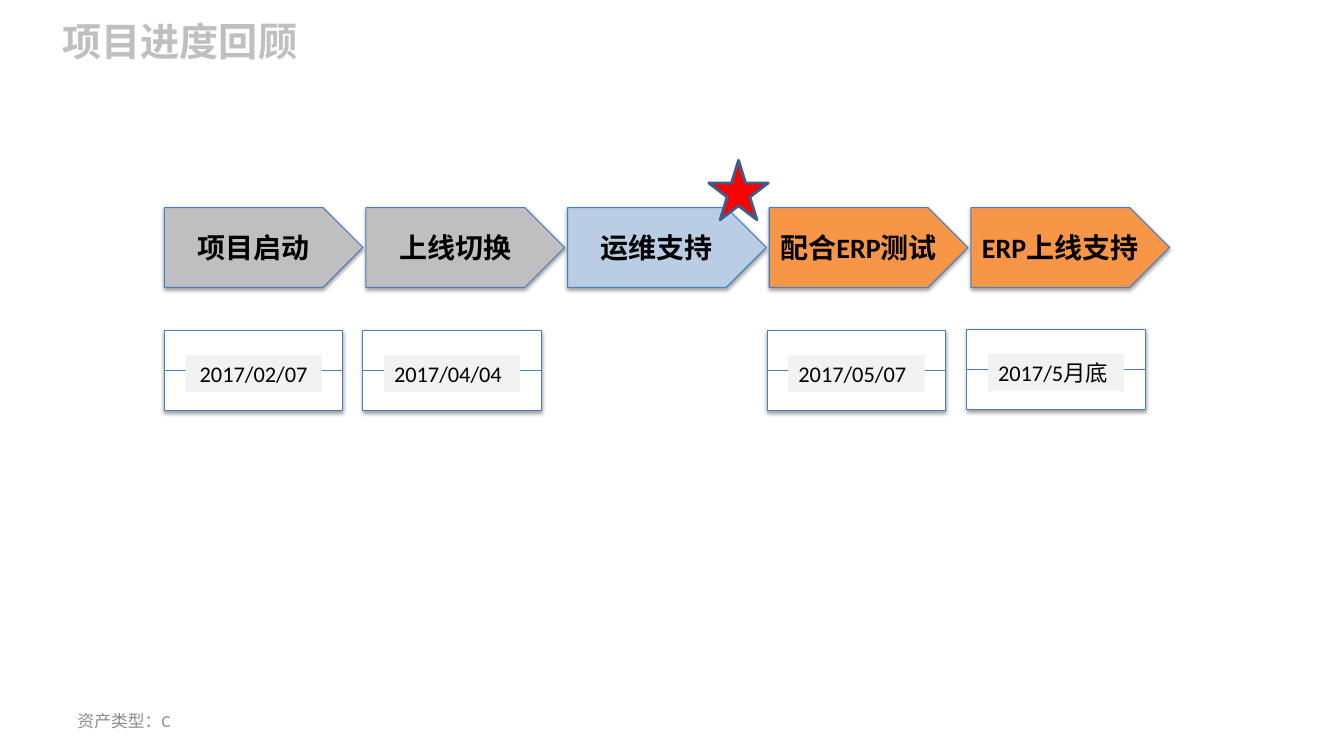
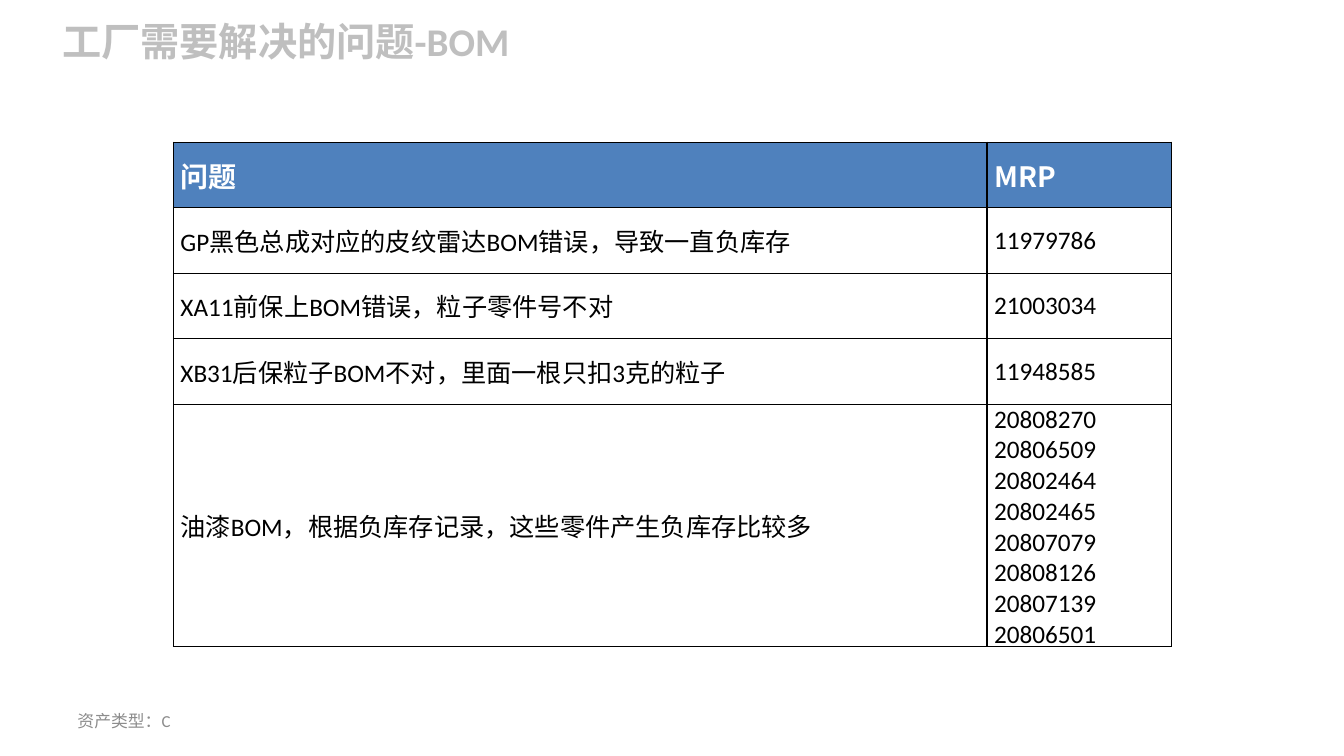
from dataclasses import dataclass

from lxml.etree import SubElement
from pptx import Presentation
from pptx.dml.color import RGBColor
from pptx.enum.shapes import MSO_CONNECTOR, MSO_SHAPE
from pptx.enum.text import MSO_ANCHOR, PP_ALIGN
from pptx.oxml.ns import qn
from pptx.util import Inches, Pt


@dataclass(frozen=True)
class Theme:
    # Colours
    black: str = "000000"
    white: str = "FFFFFF"
    title: str = "BFBFBF"
    footer: str = "8C8C8C"
    done: str = "BFBFBF"
    current: str = "B9CDE5"
    planned: str = "F79646"
    outline: str = "4B7EBC"
    label: str = "F2F2F2"
    star: str = "FF0000"
    star_outline: str = "3A5F8C"
    header: str = "4F81BD"
    # Fonts and type sizes in points
    font: str = "Calibri"
    asian_font: str = "Noto Sans CJK SC"
    title_size: int = 28
    heading_size: int = 20
    body_size: int = 18
    date_size: int = 16
    footer_size: int = 12


THEME = Theme()


class Deck:
    def __init__(self, theme):
        self.theme = theme
        self.presentation = Presentation()
        self.presentation.slide_width = Inches(13.33)
        self.presentation.slide_height = Inches(7.5)
        self.slide = None

    def new_slide(self, title):
        """Start a slide with the shared title and footer."""
        theme = self.theme
        layout = self.presentation.slide_layouts[6]
        self.slide = self.presentation.slides.add_slide(layout)
        self.text_box(0.52, 0.12, 9.98, 0.57, title, theme.title_size,
                      theme.title, bold=True)
        self.text_box(0.67, 6.95, 3.11, 0.4, "资产类型：C", theme.footer_size,
                      theme.footer, anchor=MSO_ANCHOR.MIDDLE)

    def add_lines(self, frame, lines, size, color, bold=False,
                  align=PP_ALIGN.LEFT, font=None):
        """Fill a text frame with one paragraph per line."""
        for index, line in enumerate(lines):
            paragraph = frame.add_paragraph() if index else frame.paragraphs[0]
            paragraph.alignment = align
            run = paragraph.add_run()
            run.text = line
            run.font.name = font or self.theme.font
            run.font.size = Pt(size)
            run.font.bold = bold
            run.font.color.rgb = RGBColor.from_string(color)
            east_asian = SubElement(run.font._element, qn("a:ea"))
            east_asian.set("typeface", self.theme.asian_font)

    def text_box(self, left, top, width, height, text, size, color,
                 bold=False, anchor=MSO_ANCHOR.TOP):
        box = self.slide.shapes.add_textbox(
            Inches(left), Inches(top), Inches(width), Inches(height))
        box.text_frame.word_wrap = True
        box.text_frame.vertical_anchor = anchor
        self.add_lines(box.text_frame, [text], size, color, bold)

    def shape(self, kind, left, top, width, height, fill, line=None,
              line_width=0.75, shadow=False, parent=None):
        shape = (parent or self.slide).shapes.add_shape(
            kind, Inches(left), Inches(top), Inches(width), Inches(height))
        shape.fill.solid()
        shape.fill.fore_color.rgb = RGBColor.from_string(fill)
        if line:
            shape.line.color.rgb = RGBColor.from_string(line)
            shape.line.width = Pt(line_width)
        else:
            shape.line.fill.background()
        shape.shadow.inherit = False
        if shadow:
            self.drop_shadow(shape)
        return shape

    def drop_shadow(self, shape):
        effects = shape._element.spPr.find(qn("a:effectLst"))
        outer = SubElement(effects, qn("a:outerShdw"), blurRad=str(Pt(3.1)),
                           dist=str(Pt(1.6)), dir="5400000", rotWithShape="0")
        color = SubElement(outer, qn("a:srgbClr"), val=self.theme.black)
        SubElement(color, qn("a:alpha"), val="38000")

    def stage(self, left, top, text, fill):
        """Pentagon arrow for one project stage."""
        theme = self.theme
        arrow = self.shape(MSO_SHAPE.PENTAGON, left, top, 1.97, 0.79, fill,
                           theme.outline, shadow=True)
        arrow.text_frame.word_wrap = True
        arrow.text_frame.vertical_anchor = MSO_ANCHOR.MIDDLE
        self.add_lines(arrow.text_frame, [text], theme.heading_size,
                       theme.black, bold=True, align=PP_ALIGN.CENTER)

    def date_card(self, left, top, text, align):
        """Framed card with a middle line and a date label on it."""
        theme = self.theme
        width, height = 1.77, 0.79
        group = self.slide.shapes.add_group_shape()
        self.shape(MSO_SHAPE.RECTANGLE, left, top, width, height, theme.white,
                   theme.outline, shadow=True, parent=group)
        middle = Inches(top + height / 2)
        line = group.shapes.add_connector(
            MSO_CONNECTOR.STRAIGHT, Inches(left), middle,
            Inches(left + width), middle)
        line.line.color.rgb = RGBColor.from_string(theme.outline)
        line.line.width = Pt(0.75)
        SubElement(line._element.spPr, qn("a:effectLst"))
        label = self.shape(MSO_SHAPE.RECTANGLE, left + 0.21, top + 0.24,
                           1.35, 0.37, theme.label, parent=group)
        label.text_frame.word_wrap = True
        label.text_frame.vertical_anchor = MSO_ANCHOR.TOP
        self.add_lines(label.text_frame, [text], theme.date_size, theme.black,
                       align=align)

    def table(self, left, top, widths, heights, rows):
        """Bordered table; each cell is a list of lines."""
        theme = self.theme
        table = self.slide.shapes.add_table(
            len(rows), len(widths), Inches(left), Inches(top),
            Inches(sum(widths)), Inches(sum(heights))).table
        table.horz_banding = False
        for column, width in zip(table.columns, widths):
            column.width = Inches(width)
        for row_index, (row, height) in enumerate(zip(rows, heights)):
            table.rows[row_index].height = Inches(height)
            is_header = row_index == 0
            for column_index, lines in enumerate(row):
                cell = table.cell(row_index, column_index)
                cell.vertical_anchor = MSO_ANCHOR.MIDDLE
                cell.margin_left = cell.margin_right = Inches(0.07)
                cell.margin_top = cell.margin_bottom = 0
                self.borders(cell)
                cell.fill.solid()
                cell.fill.fore_color.rgb = RGBColor.from_string(
                    theme.header if is_header else theme.white)
                if is_header:
                    self.add_lines(cell.text_frame, lines, theme.heading_size,
                                   theme.white, bold=True,
                                   font=theme.asian_font)
                else:
                    self.add_lines(cell.text_frame, lines, theme.body_size,
                                   theme.black)

    def borders(self, cell):
        properties = cell._tc.get_or_add_tcPr()
        for side in ("lnL", "lnR", "lnT", "lnB"):
            line = SubElement(properties, qn(f"a:{side}"), w=str(Pt(1)))
            fill = SubElement(line, qn("a:solidFill"))
            SubElement(fill, qn("a:srgbClr"), val=self.theme.black)


def progress_slide(deck):
    theme = deck.theme
    deck.new_slide("项目进度回顾")

    # Project stages
    stages = [
        ("项目启动", theme.done),
        ("上线切换", theme.done),
        ("运维支持", theme.current),
        ("配合ERP测试", theme.planned),
        ("ERP上线支持", theme.planned),
    ]
    for index, (text, fill) in enumerate(stages):
        deck.stage(1.63 + 2 * index, 2.06, text, fill)

    # Stage dates
    dates = [
        (1.63, 3.28, "2017/02/07", PP_ALIGN.CENTER),
        (3.6, 3.28, "2017/04/04", PP_ALIGN.LEFT),
        (7.61, 3.28, "2017/05/07", PP_ALIGN.LEFT),
        (9.59, 3.27, "2017/5月底", PP_ALIGN.LEFT),
    ]
    for date in dates:
        deck.date_card(*date)

    # Current position
    deck.shape(MSO_SHAPE.STAR_5_POINT, 7.03, 1.59, 0.59, 0.59, theme.star,
               theme.star_outline, line_width=2)


def issues_slide(deck):
    deck.new_slide("工厂需要解决的问题-BOM")

    # Issues and the part numbers they affect
    paint_parts = ["20808270", "20806509", "20802464", "20802465",
                   "20807079", "20808126", "20807139", "20806501"]
    rows = [
        (["问题"], ["MRP"]),
        (["GP黑色总成对应的皮纹雷达BOM错误，导致一直负库存"], ["11979786"]),
        (["XA11前保上BOM错误，粒子零件号不对"], ["21003034"]),
        (["XB31后保粒子BOM不对，里面一根只扣3克的粒子"], ["11948585"]),
        (["油漆BOM，根据负库存记录，这些零件产生负库存比较多"], paint_parts),
    ]
    deck.table(1.72, 1.41, [8.07, 1.83], [0.65] * 4 + [2.38], rows)


def main():
    deck = Deck(THEME)
    progress_slide(deck)
    issues_slide(deck)
    deck.presentation.save("out.pptx")


if __name__ == "__main__":
    main()
